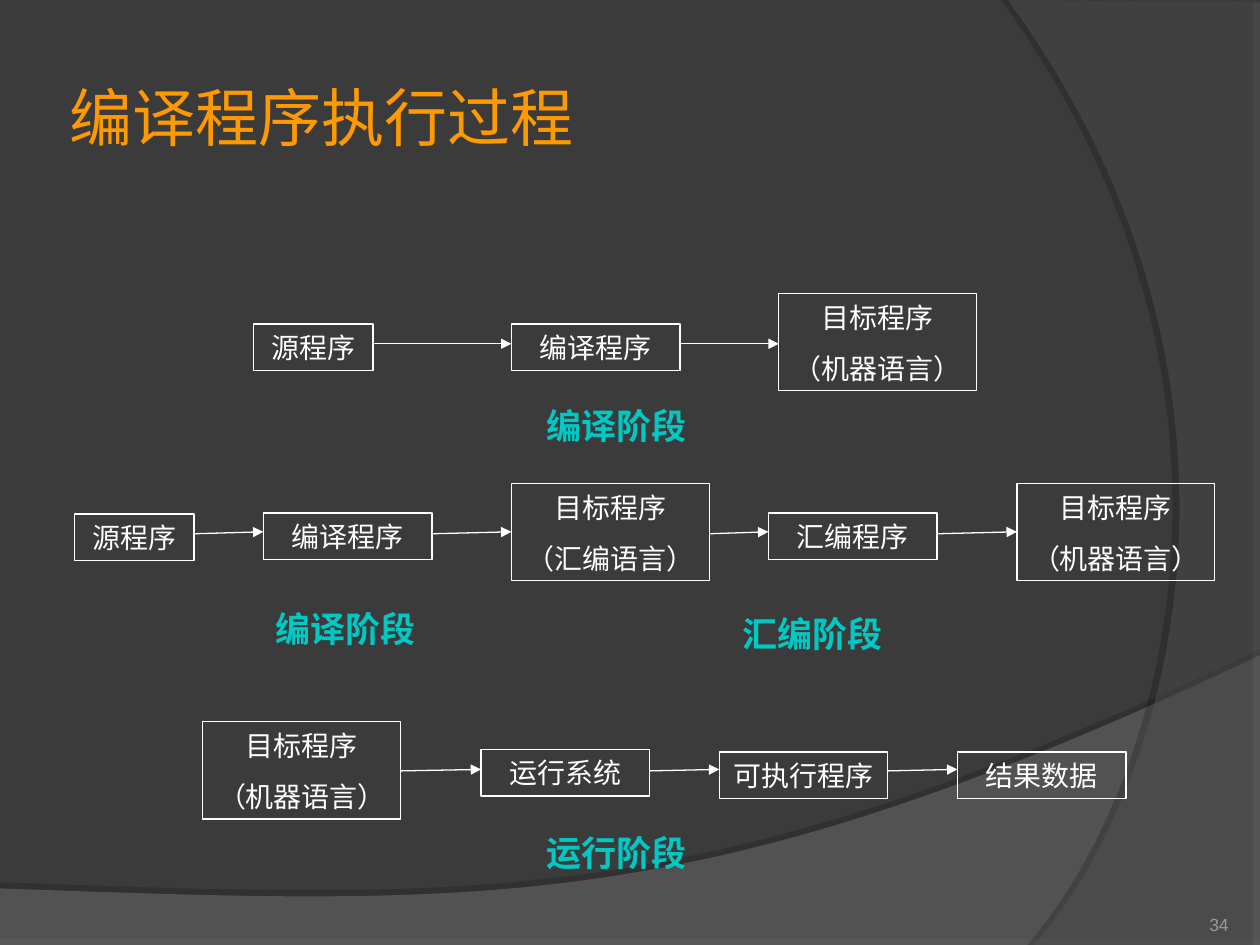
"""Build a slide of the stages that a compiled program goes through."""
from dataclasses import dataclass
from itertools import pairwise

from lxml.etree import SubElement
from pptx import Presentation
from pptx.dml.color import RGBColor
from pptx.enum.shapes import MSO_CONNECTOR as Connector, MSO_SHAPE as Preset
from pptx.enum.text import MSO_ANCHOR as Anchor, MSO_AUTO_SIZE as AutoSize, PP_ALIGN as Align
from pptx.oxml.ns import qn
from pptx.util import Cm, Pt

WHITE, ORANGE, TEAL, GRAY = "FFFFFF", "FF9900", "00C8C3", "9B9A98"
SHORT, MEDIUM, WIDE = 2.41, 3.4, 3.99
ONE_LINE, TWO_LINES = 0.94, 1.96
MACHINE_CODE = "目标程序\n（机器语言）"
ASSEMBLY_CODE = "目标程序\n（汇编语言）"


@dataclass
class Step:
    text: str
    left: float
    top: float
    width: float = MEDIUM

    @property
    def height(self) -> float:
        return TWO_LINES if "\n" in self.text else ONE_LINE

    @property
    def right(self) -> float:
        return self.left + self.width


@dataclass
class Flow:
    arrow_start: float
    arrow_end: float
    steps: list[Step]


@dataclass
class Stage:
    text: str
    left: float
    top: float


@dataclass
class Swoosh:
    corners: list[tuple[float, float]]
    curve: list[tuple[float, float]]
    color: str
    opacity: int
    shadow_opacity: int
    shadow_distance: float
    shadow_angle: int


SWOOSHES = [
    Swoosh([(0, 17.91), (0, 19.05), (25.4, 19.05)],
           [(25.4, 13.21), (14.2, 18.52), (9.93, 18.26), (0, 17.91)],
           "7C7C7C", 45, 35, 3.5, 270),
    Swoosh([(25.4, 0.05), (25.4, 19.05)],
           [(20.85, 19.05), (23.75, 15.72), (25.86, 7.62), (20.32, 0)],
           "595959", 40, 45, 4, 180),
]
FLOWS = [
    Flow(6.93, 6.93, [
        Step("源程序", 5.11, 6.53, SHORT),
        Step("编译程序", 10.31, 6.53),
        Step(MACHINE_CODE, 15.7, 5.92, WIDE)]),
    Flow(10.76, 10.72, [
        Step("源程序", 1.5, 10.36, SHORT),
        Step("编译程序", 5.31, 10.34),
        Step(ASSEMBLY_CODE, 10.31, 9.75, WIDE),
        Step("汇编程序", 15.49, 10.34),
        Step(MACHINE_CODE, 20.5, 9.75, WIDE)]),
    Flow(15.54, 15.51, [
        Step(MACHINE_CODE, 4.09, 14.55, WIDE),
        Step("运行系统", 9.7, 15.11),
        Step("可执行程序", 14.5, 15.16),
        Step("结果数据", 19.3, 15.16)]),
]
STAGES = [
    Stage("编译阶段", 10.77, 8.03),
    Stage("编译阶段", 5.31, 12.12),
    Stage("汇编阶段", 14.71, 12.22),
    Stage("运行阶段", 10.77, 16.64),
]


def paint(target, color: str) -> None:
    target.solid()
    target.fore_color.rgb = RGBColor.from_string(color)


def write(box, text: str, *, size: float, color: str, font: str = "Karla", bold: bool = False,
          align=Align.CENTER, anchor=Anchor.TOP, inset: tuple[float, float] = (0.25, 0.13),
          wrap: bool = True) -> None:
    frame = box.text_frame
    frame.word_wrap = wrap
    frame.auto_size = AutoSize.NONE
    frame.vertical_anchor = anchor
    frame.margin_left = frame.margin_right = Cm(inset[0])
    frame.margin_top = frame.margin_bottom = Cm(inset[1])
    for index, line in enumerate(text.split("\n")):
        para = frame.add_paragraph() if index else frame.paragraphs[0]
        para.alignment = align
        para.space_before = Pt(10 if index else 0)
        span = para.add_run()
        span.text = line
        span.font.name, span.font.size, span.font.bold = font, Pt(size), bold
        paint(span.font.fill, color)


def add_box(page, left: float, top: float, width: float, height: float):
    return page.shapes.add_textbox(Cm(left), Cm(top), Cm(width), Cm(height))


def bezier(points: list[tuple[float, float]], pieces: int = 60) -> list[tuple[float, float]]:
    def at(t: float) -> tuple[float, float]:
        weights = ((1 - t) ** 3, 3 * t * (1 - t) ** 2, 3 * t ** 2 * (1 - t), t ** 3)
        return tuple(sum(w * p[axis] for w, p in zip(weights, points)) for axis in (0, 1))
    return [at(piece / pieces) for piece in range(pieces + 1)]


def draw_swoosh(page, swoosh: Swoosh) -> None:
    first, *rest = [(Cm(x), Cm(y)) for x, y in swoosh.corners + bezier(swoosh.curve)]
    builder = page.shapes.build_freeform(*first)
    builder.add_line_segments(rest, close=True)
    shape = builder.convert_to_shape()
    paint(shape.fill, swoosh.color)
    shape.line.fill.background()
    shape.shadow.inherit = False
    properties = shape._element.spPr
    fill_color = properties.find(qn("a:solidFill"))[0]
    SubElement(fill_color, qn("a:alpha"), val=str(swoosh.opacity * 1000))
    shadow = SubElement(properties.find(qn("a:effectLst")), qn("a:outerShdw"), blurRad="0",
                        dist=str(Pt(swoosh.shadow_distance)), dir=str(swoosh.shadow_angle * 60000),
                        algn="ctr", rotWithShape="0")
    shadow_color = SubElement(shadow, qn("a:srgbClr"), val="000000")
    SubElement(shadow_color, qn("a:alpha"), val=str(swoosh.shadow_opacity * 1000))


def draw_step(page, step: Step) -> None:
    box = page.shapes.add_shape(Preset.RECTANGLE, Cm(step.left), Cm(step.top),
                                Cm(step.width), Cm(step.height))
    box.shadow.inherit = False
    box.fill.background()
    paint(box.line.fill, WHITE)
    box.line.width = Pt(0.75)
    write(box, step.text, size=16, color=WHITE)


def draw_arrow(page, start: tuple[float, float], end: tuple[float, float]) -> None:
    arrow = page.shapes.add_connector(Connector.STRAIGHT, *map(Cm, start + end))
    paint(arrow.line.fill, WHITE)
    arrow.line.width = Pt(0.75)
    properties = arrow._element.spPr
    SubElement(properties.find(qn("a:ln")), qn("a:tailEnd"), type="triangle")
    SubElement(properties, qn("a:effectLst"))


def draw_flow(page, flow: Flow) -> None:
    for step in flow.steps:
        draw_step(page, step)
    for source, target in pairwise(flow.steps):
        draw_arrow(page, (source.right, flow.arrow_start), (target.left, flow.arrow_end))


def main() -> None:
    deck = Presentation()
    deck.slide_width, deck.slide_height = Cm(25.4), Cm(19.05)
    page = deck.slides.add_slide(deck.slide_layouts[5])
    paint(page.background.fill, "3B3B3B")
    for swoosh in SWOOSHES:
        draw_swoosh(page, swoosh)

    title = page.shapes.title
    title.left, title.top, title.width, title.height = map(Cm, (1.27, 0.76, 20.75, 3.18))
    write(title, "编译程序执行过程", size=36, color=ORANGE, font="Cabin", align=Align.LEFT,
          anchor=Anchor.MIDDLE, inset=(0.13, 0.13))
    for flow in FLOWS:
        draw_flow(page, flow)
    for stage in STAGES:
        write(add_box(page, stage.left, stage.top, 3.33, 1.12), stage.text,
              size=20, color=TEAL, bold=True, wrap=False)
    write(add_box(page, 22.66, 17.83, 2.11, 1.02), "34", size=10, color=GRAY, font="Arial",
          align=Align.RIGHT, anchor=Anchor.BOTTOM, inset=(0, 0))
    deck.save("out.pptx")


if __name__ == "__main__":
    main()
